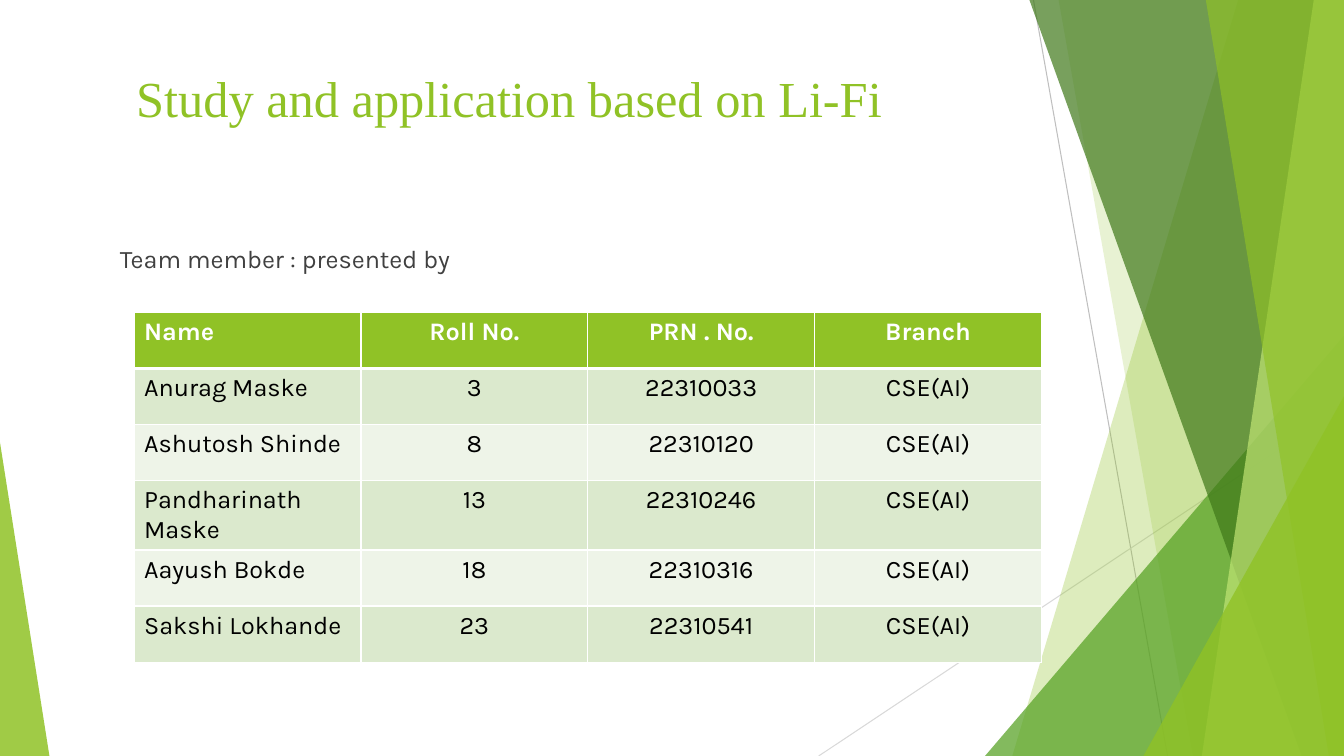
from lxml.etree import SubElement
from pptx import Presentation
from pptx.dml.color import RGBColor
from pptx.enum.shapes import MSO_CONNECTOR, MSO_SHAPE
from pptx.enum.text import MSO_ANCHOR, MSO_AUTO_SIZE, PP_ALIGN
from pptx.oxml.ns import qn
from pptx.util import Inches, Pt

WIDTH, HEIGHT = 13.33, 7.5
GREEN = "90C226"
HEADINGS = ["Name", "Roll No.", "PRN . No.", "Branch"]
MEMBERS = [
    ("Anurag Maske", "3", "22310033"),
    ("Ashutosh Shinde", "8", "22310120"),
    ("Pandharinath Maske", "13", "22310246"),
    ("Aayush Bokde", "18", "22310316"),
    ("Sakshi Lokhande", "23", "22310541"),
]


def color(value):
    return RGBColor.from_string(value)


def place(shape, left, top, width, height):
    shape.left, shape.top = Inches(left), Inches(top)
    shape.width, shape.height = Inches(width), Inches(height)


def style_text(para, font, size, ink, bold=False):
    for span in para.runs:
        span.font.name = font
        span.font.size = Pt(size)
        span.font.bold = bold
        span.font.color.rgb = color(ink)


def paint(shape, ink, opacity):
    shape.shadow.inherit = False
    shape.line.fill.background()
    shape.fill.solid()
    shape.fill.fore_color.rgb = color(ink)
    tint = shape.element.spPr.find(".//" + qn("a:srgbClr"))
    SubElement(tint, qn("a:alpha"), val=str(opacity * 1000))


def add_line(page, start, end, ink):
    points = [Inches(value) for value in (*start, *end)]
    line = page.shapes.add_connector(MSO_CONNECTOR.STRAIGHT, *points)
    line.line.color.rgb = color(ink)
    line.line.width = Pt(0.75)
    SubElement(line.element.spPr, qn("a:effectLst"))


def add_band(page, right, top, bottom, upper, lower, ink, opacity):
    corners = [(right - upper, top), (right, top), (right, bottom), (right - lower, bottom)]
    points = [(Inches(x), Inches(y)) for x, y in corners]
    builder = page.shapes.build_freeform(*points[0])
    builder.add_line_segments(points[1:], close=True)
    paint(builder.convert_to_shape(), ink, opacity)


def add_triangle(page, left, bottom, width, height, apex, ink, opacity):
    box = [Inches(value) for value in (left, bottom - height, width, height)]
    triangle = page.shapes.add_shape(MSO_SHAPE.ISOSCELES_TRIANGLE, *box)
    triangle.adjustments[0] = apex
    paint(triangle, ink, opacity)


def add_decoration(page, left, top, width, height):
    right, bottom = left + width, top + height
    add_line(page, (right - 3.08, top), (right - 1.75, bottom), "BFBFBF")
    add_line(page, (right, top + 4.03), (right - 5.21, bottom), "D9D9D9")
    facets = [
        (add_band, 1.05, 3.29, GREEN, 30),
        (add_band, 2.83, 1.5, GREEN, 20),
        (add_triangle, 3.56, 4.17, "54A021", 72),
        (add_band, 3.12, 0.42, "3F7819", 70),
        (add_band, 0.3, 1.41, "C0E474", 70),
        (add_band, 1.37, 0.15, GREEN, 65),
        (add_triangle, 1.99, 3.57, GREEN, 80),
    ]
    for draw, first, second, ink, opacity in facets:
        if draw is add_band:
            add_band(page, right, top, bottom, first, second, ink, opacity)
        else:
            add_triangle(page, right - first, bottom, first, second, 1, ink, opacity)
    add_triangle(page, left, bottom, 0.49, 3.11, 0, GREEN, 85)


def fill_placeholder(page, holder, text, left, top, width, height):
    page.shapes.element.append(holder.element)
    place(holder, left, top, width, height)
    frame = holder.text_frame
    frame.text = text
    frame.word_wrap = True
    frame.auto_size = MSO_AUTO_SIZE.NONE
    frame.vertical_anchor = MSO_ANCHOR.TOP
    para = frame.paragraphs[0]
    para.alignment = PP_ALIGN.LEFT
    return para


def add_title(page, *box):
    para = fill_placeholder(page, page.shapes.title, "Study and application based on Li-Fi", *box)
    style_text(para, "Times New Roman", 36, GREEN)


def add_intro(page, *box):
    para = fill_placeholder(page, page.placeholders[1], "Team member : presented by", *box)
    para.space_before = Pt(10)
    style_text(para, "Karla", 18, "404040")
    properties = para._p.get_or_add_pPr()
    properties.set("marL", str(Inches(0.35)))
    properties.set("indent", "0")
    SubElement(properties, qn("a:buNone"))


def add_borders(cell, top, bottom):
    properties = cell._tc.get_or_add_tcPr()
    for side, points in (("L", 1), ("R", 1), ("T", top), ("B", bottom)):
        line = SubElement(properties, qn("a:ln" + side), w=str(Pt(points)))
        SubElement(SubElement(line, qn("a:solidFill")), qn("a:srgbClr"), val="FFFFFF")


def add_members(page, left, top, width, height):
    rows = [HEADINGS] + [(*member, "CSE(AI)") for member in MEMBERS]
    box = [Inches(value) for value in (left, top, width, height)]
    table = page.shapes.add_table(len(rows), len(HEADINGS), *box).table
    for row, values in enumerate(rows):
        header = row == 0
        shade = GREEN if header else ("EEF4E8", "DBE9CD")[row % 2]
        for column, value in enumerate(values):
            cell = table.cell(row, column)
            add_borders(cell, 3 if row == 1 else 1, 3 if header else 1)
            cell.fill.solid()
            cell.fill.fore_color.rgb = color(shade)
            cell.text_frame.text = value
            para = cell.text_frame.paragraphs[0]
            para.alignment = PP_ALIGN.CENTER if column else PP_ALIGN.LEFT
            style_text(para, "Karla", 18, "FFFFFF" if header else "000000", header)


def main():
    deck = Presentation()
    deck.slide_width, deck.slide_height = Inches(WIDTH), Inches(HEIGHT)
    page = deck.slides.add_slide(deck.slide_layouts[1])
    add_decoration(page, 0, 0, WIDTH, HEIGHT)
    add_title(page, 1.25, 0.62, 10.03, 1.62)
    add_intro(page, 0.74, 2.36, 9.4, 4.24)
    add_members(page, 1.33, 3.1, 9, 3.34)
    deck.save("out.pptx")


if __name__ == "__main__":
    main()
